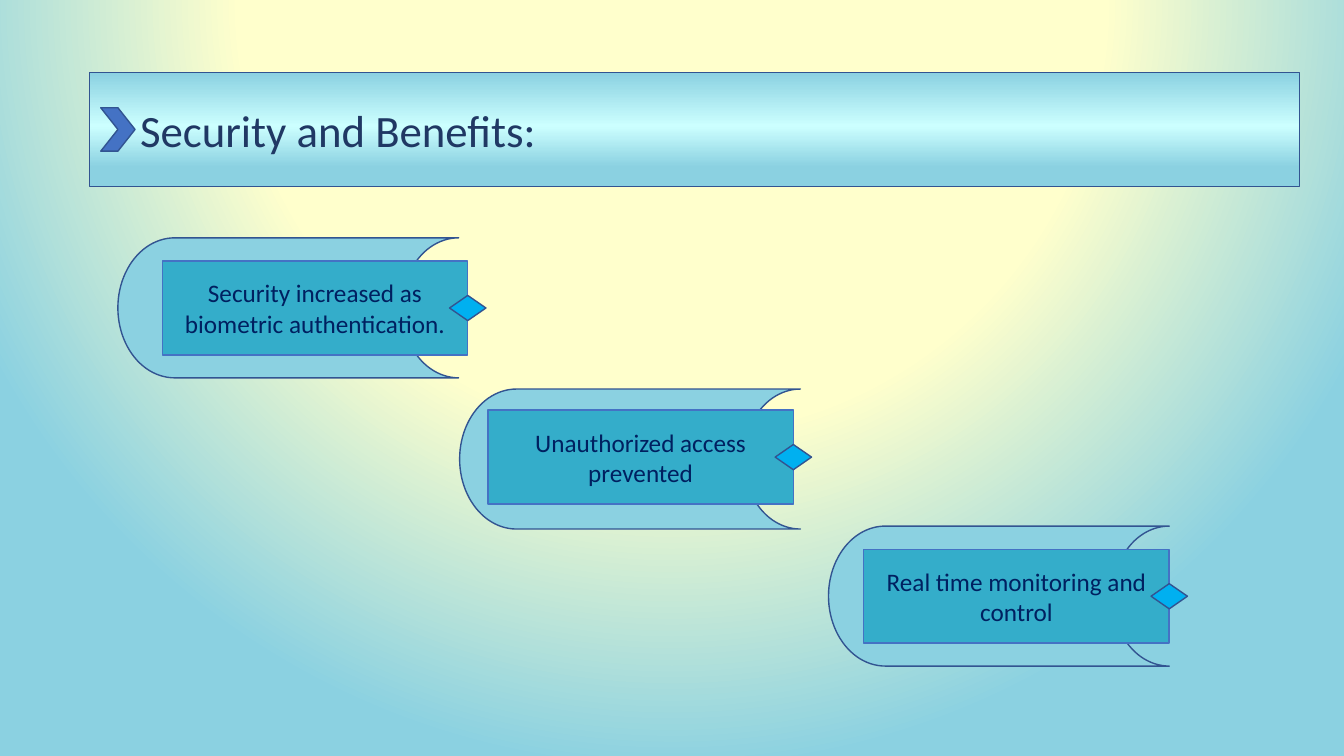
from dataclasses import dataclass

from lxml.etree import SubElement
from pptx import Presentation
from pptx.dml.color import RGBColor
from pptx.enum.shapes import MSO_SHAPE
from pptx.enum.text import MSO_ANCHOR, PP_ALIGN
from pptx.oxml import parse_xml
from pptx.oxml.ns import nsdecls, qn
from pptx.util import Pt

COLORS = {
    "cream": "FFFFCC",
    "sky": "8BD1E1",
    "ice": "CCFFFF",
    "teal": "34ADCA",
    "azure": "00B0F0",
    "blue": "4472C4",
    "outline": "325491",
    "navy": "002060",
    "heading": "203864",
    "title_shadow": "5B9BD5",
}
LABEL_SIZE = (218.2, 67)
STORAGE_SIZE = (243.4, 100)
DIAMOND_SIZE = (26, 18)


@dataclass(frozen=True)
class Benefit:
    text: str
    storage: tuple[float, float]
    label: tuple[float, float]


BENEFITS = [
    Benefit("Security increased as biometric authentication.", (84.2, 169.9), (115.9, 186.5)),
    Benefit("Unauthorized access prevented", (328.3, 277.9), (348.5, 293)),
    Benefit("Real time monitoring and control", (591.8, 375.8), (617, 392.4)),
]


def rgb(color: str) -> RGBColor:
    return RGBColor.from_string(COLORS[color])


def set_gradient(fill, container, stops: list[tuple[int, str]], direction: str) -> None:
    """Fill with several stops (percent, colour); direction is a lin or path element."""
    fill.solid()
    stop_xml = "".join(
        f'<a:gs pos="{position * 1000}"><a:srgbClr val="{COLORS[color]}"/></a:gs>'
        for position, color in stops
    )
    gradient = parse_xml(
        f'<a:gradFill {nsdecls("a")} rotWithShape="1"><a:gsLst>{stop_xml}</a:gsLst>{direction}</a:gradFill>'
    )
    container.replace(container.find(qn("a:solidFill")), gradient)


def set_outline(shape, color: str) -> None:
    shape.line.color.rgb = rgb(color)
    shape.line.width = Pt(1)


def add_figure(shapes, kind: MSO_SHAPE, position: tuple[float, float],
               size: tuple[float, float], fill: str, line: str = "outline"):
    figure = shapes.add_shape(kind, *(Pt(length) for length in (*position, *size)))
    figure.shadow.inherit = False
    figure.fill.solid()
    figure.fill.fore_color.rgb = rgb(fill)
    set_outline(figure, line)
    return figure


def write(shape, text: str, size: float, color: str, align: PP_ALIGN):
    frame = shape.text_frame
    frame.word_wrap = True
    frame.vertical_anchor = MSO_ANCHOR.MIDDLE
    paragraph = frame.paragraphs[0]
    paragraph.alignment = align
    paragraph.line_spacing = 1.0
    run = paragraph.add_run()
    run.text = text
    for name, value in {"name": "Calibri", "size": Pt(size)}.items():
        setattr(run.font, name, value)
    run.font.color.rgb = rgb(color)
    return run


def add_text_shadow(run) -> None:
    properties = run.font.fill._xPr
    effects = parse_xml(
        f'<a:effectLst {nsdecls("a")}><a:outerShdw blurRad="38100" dist="25400" dir="2700000">'
        f'<a:srgbClr val="{COLORS["title_shadow"]}"/></a:outerShdw></a:effectLst>'
    )
    properties.find(qn("a:solidFill")).addnext(effects)


def add_title(slide) -> None:
    title = slide.shapes.title
    box = {"left": 64.1, "top": 51.8, "width": 864, "height": 81.4}
    for name, value in box.items():
        setattr(title, name, Pt(value))
    stops = [(0, "sky"), (47, "ice"), (83, "sky"), (100, "sky")]
    set_gradient(title.fill, title.element.spPr, stops, '<a:lin ang="5400000" scaled="0"/>')
    set_outline(title, "outline")
    title.text_frame.margin_left = Pt(36)
    add_text_shadow(write(title, "Security and Benefits:", 32, "heading", PP_ALIGN.LEFT))
    add_figure(slide.shapes, MSO_SHAPE.CHEVRON, (72, 77), (24.5, 31), "blue")


def add_benefit(slide, benefit: Benefit) -> None:
    """Draw the storage shape, then the label with a diamond on its right edge."""
    add_figure(slide.shapes, MSO_SHAPE.FLOWCHART_STORED_DATA, benefit.storage, STORAGE_SIZE, "sky")
    group = slide.shapes.add_group_shape().shapes
    label = add_figure(group, MSO_SHAPE.RECTANGLE, benefit.label, LABEL_SIZE, "teal", "blue")
    write(label, benefit.text, 18, "navy", PP_ALIGN.CENTER)
    left, top = benefit.label
    diamond_at = (left + LABEL_SIZE[0] - DIAMOND_SIZE[0] / 2,
                  top + (LABEL_SIZE[1] - DIAMOND_SIZE[1]) / 2)
    add_figure(group, MSO_SHAPE.DIAMOND, diamond_at, DIAMOND_SIZE, "azure")


def set_background(slide) -> None:
    fill = slide.background.fill
    fill.solid()
    container = slide.element.find(f'.//{qn("p:bgPr")}')
    focus = '<a:path path="circle"><a:fillToRect l="50000" t="-80000" r="50000" b="180000"/></a:path>'
    set_gradient(fill, container, [(0, "cream"), (56, "cream"), (100, "sky")], focus)


def main() -> None:
    presentation = Presentation()
    presentation.slide_width, presentation.slide_height = Pt(960), Pt(540)
    slide = presentation.slides.add_slide(presentation.slide_layouts[5])
    set_background(slide)
    for benefit in BENEFITS:
        add_benefit(slide, benefit)
    add_title(slide)
    presentation.save("out.pptx")


if __name__ == "__main__":
    main()
